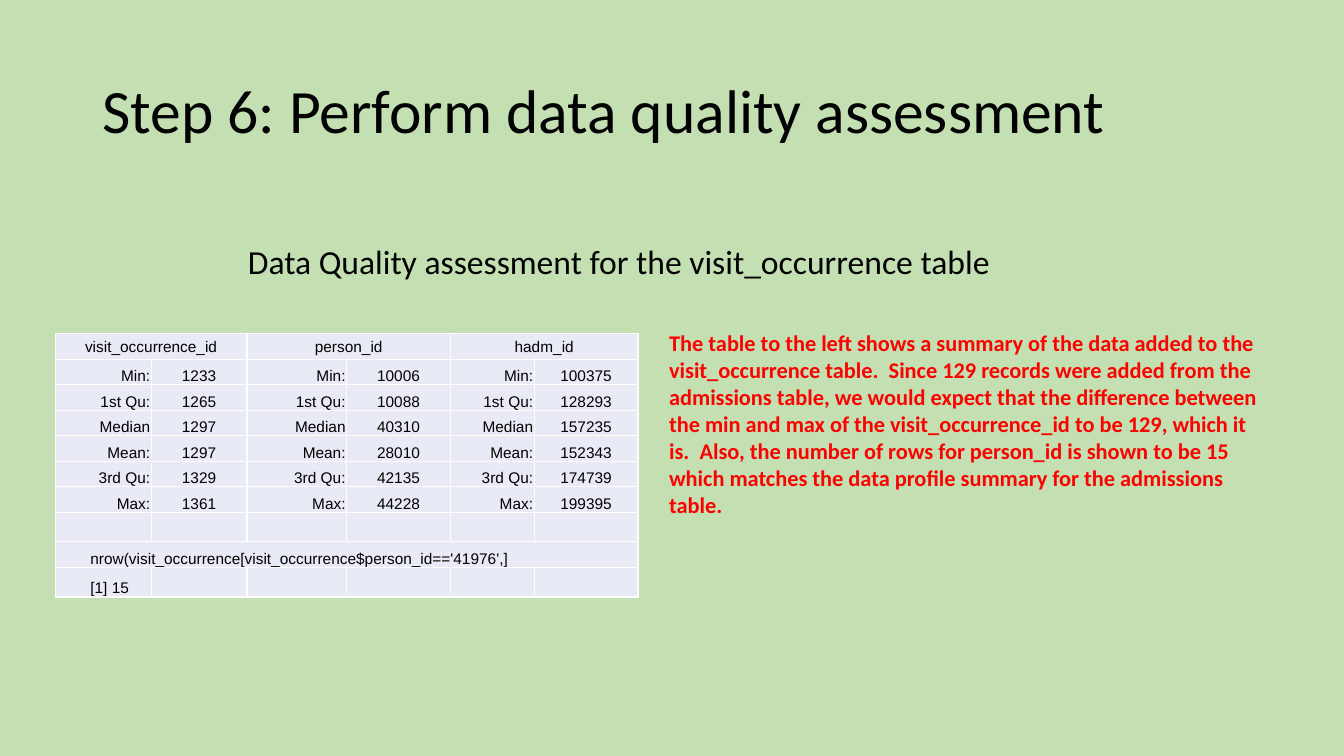
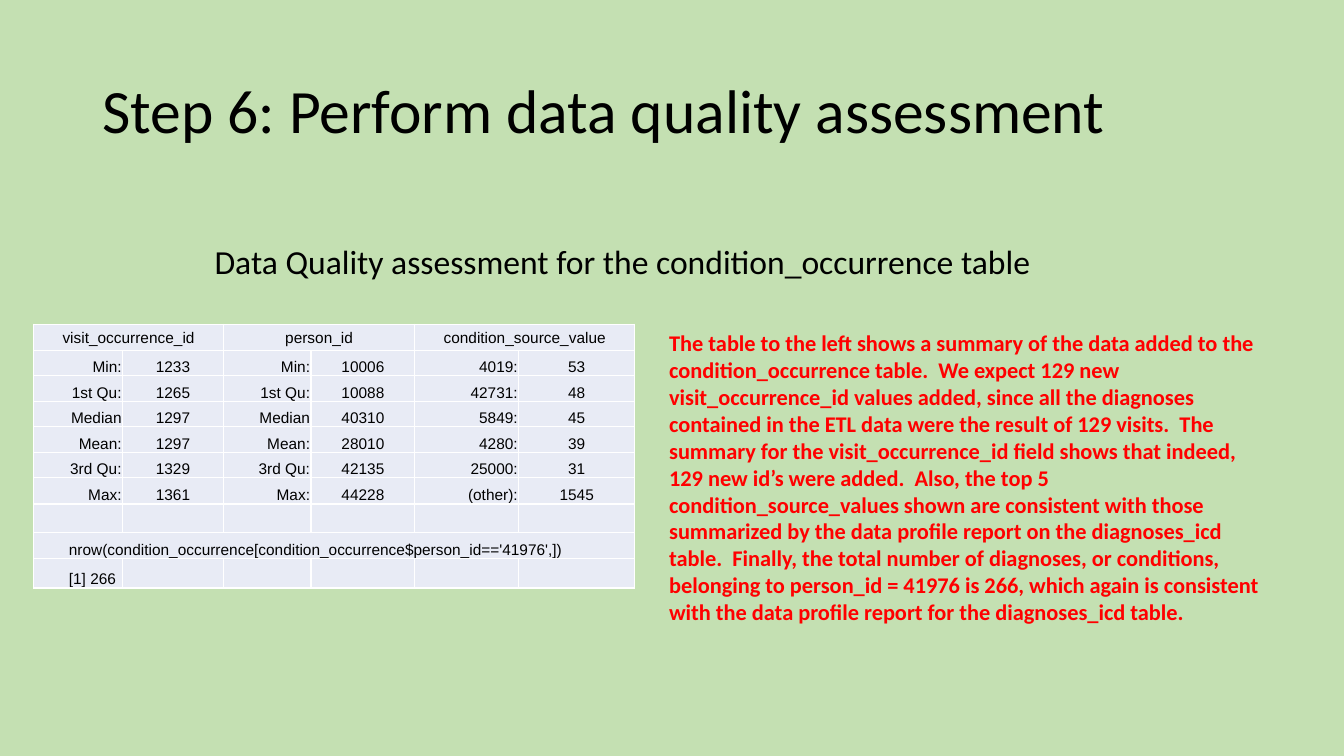
from lxml.etree import SubElement
from pptx import Presentation
from pptx.dml.color import RGBColor
from pptx.enum.text import MSO_ANCHOR, MSO_AUTO_SIZE, PP_ALIGN
from pptx.oxml.ns import qn
from pptx.util import Pt

GREEN = RGBColor(0xC4, 0xE0, 0xB2)
LAVENDER = RGBColor(0xE8, 0xEB, 0xF5)
WHITE = RGBColor(0xFF, 0xFF, 0xFF)
BLACK = RGBColor(0, 0, 0)
RED = RGBColor(0xFF, 0, 0)
TITLE_ONLY = 5

TITLE = "Step 6: Perform data quality assessment"
TITLE_BOX = (66, 28.8, 828, 104.4)
ROW_HEIGHTS = [18.7] + [18.2] * 5 + [18.7, 20.7, 18.2, 21.2]
CELL_MARGIN = 0.7
CODE_INDENT = 25

STATISTICS = ["Min:", "1st Qu:", "Median", "Mean:", "3rd Qu:", "Max:"]
VISIT_ID = ("visit_occurrence_id", STATISTICS, [1233, 1265, 1297, 1297, 1329, 1361])
PERSON_ID = ("person_id", STATISTICS, [10006, 10088, 40310, 28010, 42135, 44228])
HADM_ID = ("hadm_id", STATISTICS, [100375, 128293, 157235, 152343, 174739, 199395])
CONDITION = ("condition_source_value",
             ["4019:", "42731:", "5849:", "4280:", "25000:", "(other):"],
             [53, 48, 45, 39, 31, 1545])

SLIDES = [
    {
        "heading": "Data Quality assessment for the visit_occurrence table",
        "heading_box": (170, 168.5, 620, 36),
        "note": "The table to the left shows a summary of the data added to the "
                "visit_occurrence table.  Since 129 records were added from the "
                "admissions table, we would expect that the difference between the "
                "min and max of the visit_occurrence_id to be 129, which it is.  "
                "Also, the number of rows for person_id is shown to be 15 which "
                "matches the data profile summary for the admissions table.",
        "note_box": (470.9, 231.8, 443.5, 143.3),
        "fields": [VISIT_ID, PERSON_ID, HADM_ID],
        "code": "nrow(visit_occurrence[visit_occurrence$person_id=='41976',]",
        "answer": "[1] 15",
        "table_corner": (39.6, 238),
        "widths": [68.4, 68.4, 71.2, 74.2, 59.8, 74.2],
    },
    {
        "heading": "Data Quality assessment for the condition_occurrence table",
        "heading_box": (146.2, 168.5, 620, 36),
        "note": "The table to the left shows a summary of the data added to the "
                "condition_occurrence table.  We expect 129 new visit_occurrence_id "
                "values added, since all the diagnoses contained in the ETL data were "
                "the result of 129 visits.  The summary for the visit_occurrence_id "
                "field shows that indeed, 129 new id\u2019s were added.  Also, the top 5 "
                "condition_source_values shown are consistent with those summarized "
                "by the data profile report on the diagnoses_icd table.  Finally, the "
                "total number of diagnoses, or conditions, belonging to person_id = "
                "41976 is 266, which again is consistent with the data profile report "
                "for the diagnoses_icd table.",
        "note_box": (470.9, 231.8, 443.5, 220.3),
        "fields": [VISIT_ID, PERSON_ID, CONDITION],
        "code": "nrow(condition_occurrence[condition_occurrence$person_id=='41976',])",
        "answer": "[1] 266",
        "table_corner": (24.2, 231.6),
        "widths": [63.4, 72, 62.6, 74.2, 74.2, 82.8],
    },
]


def format_text(frame, text, size, color=BLACK, font="Calibri", bold=False):
    """Set one paragraph of text, format its run and return the paragraph."""
    frame.text = text
    para = frame.paragraphs[0]
    for span in para.runs:
        span.font.name = font
        span.font.size = Pt(size)
        span.font.bold = bold
        span.font.color.rgb = color
    return para


def add_title(page):
    """Move and format the title placeholder."""
    title = page.shapes.title
    title.left, title.top, title.width, title.height = map(Pt, TITLE_BOX)
    frame = title.text_frame
    frame.auto_size = MSO_AUTO_SIZE.NONE
    frame.vertical_anchor = MSO_ANCHOR.MIDDLE
    para = format_text(frame, TITLE, 44)
    para.alignment = PP_ALIGN.LEFT
    para.line_spacing = 0.9


def add_text(page, box, text, size, color=BLACK, bold=False):
    """Add a wrapping text box."""
    frame = page.shapes.add_textbox(*map(Pt, box)).text_frame
    frame.word_wrap = True
    format_text(frame, text, size, color, bold=bold)


def style_cell(cell):
    """Give a cell white borders, a lavender fill and tight margins."""
    properties = cell._tc.get_or_add_tcPr()
    for side in ("a:lnL", "a:lnR", "a:lnT", "a:lnB"):
        line = SubElement(properties, qn(side), w=str(Pt(1)))
        SubElement(SubElement(line, qn("a:solidFill")), qn("a:srgbClr"), val=str(WHITE))
    cell.fill.solid()
    cell.fill.fore_color.rgb = LAVENDER
    cell.margin_left = cell.margin_right = cell.margin_top = Pt(CELL_MARGIN)
    cell.margin_bottom = 0
    cell.vertical_anchor = MSO_ANCHOR.BOTTOM
    SubElement(cell.text_frame.paragraphs[0]._p, qn("a:endParaRPr"), sz="1100")


def fill_cell(cell, text, alignment):
    """Write one table entry."""
    format_text(cell.text_frame, str(text), 11, font="Arial").alignment = alignment


def add_summary_table(page, corner, widths, fields, code, answer):
    """Add the field summaries, with the row count query below them."""
    box = (*corner, sum(widths), sum(ROW_HEIGHTS))
    table = page.shapes.add_table(len(ROW_HEIGHTS), len(widths), *map(Pt, box)).table
    table.first_row = table.horz_banding = False
    for column, width in zip(table.columns, widths):
        column.width = Pt(width)
    for row, height in zip(table.rows, ROW_HEIGHTS):
        row.height = Pt(height)
    for cell in table.iter_cells():
        style_cell(cell)

    for index, (name, labels, values) in enumerate(fields):
        left = 2 * index
        header = table.cell(0, left)
        header.merge(table.cell(0, left + 1))
        header.vertical_anchor = MSO_ANCHOR.MIDDLE
        fill_cell(header, name, PP_ALIGN.CENTER)
        for row, (label, value) in enumerate(zip(labels, values), start=1):
            fill_cell(table.cell(row, left), label, PP_ALIGN.RIGHT)
            fill_cell(table.cell(row, left + 1), value, PP_ALIGN.CENTER)

    code_row = len(ROW_HEIGHTS) - 2
    table.cell(code_row, 0).merge(table.cell(code_row, len(widths) - 1))
    for row, text in enumerate((code, answer), start=code_row):
        cell = table.cell(row, 0)
        cell.margin_left = Pt(CODE_INDENT)
        fill_cell(cell, text, PP_ALIGN.LEFT)


def add_assessment(deck, content):
    """Add a slide with a title, a heading, a summary table and a note."""
    page = deck.slides.add_slide(deck.slide_layouts[TITLE_ONLY])
    add_title(page)
    add_text(page, content["note_box"], content["note"], 16, RED, bold=True)
    add_summary_table(page, content["table_corner"], content["widths"],
                      content["fields"], content["code"], content["answer"])
    add_text(page, content["heading_box"], content["heading"], 24)


def main():
    """Build and save the deck."""
    deck = Presentation()
    deck.slide_width, deck.slide_height = Pt(960), Pt(540)
    background = deck.slide_master.background.fill
    background.solid()
    background.fore_color.rgb = GREEN
    for content in SLIDES:
        add_assessment(deck, content)
    deck.save("out.pptx")


main()
